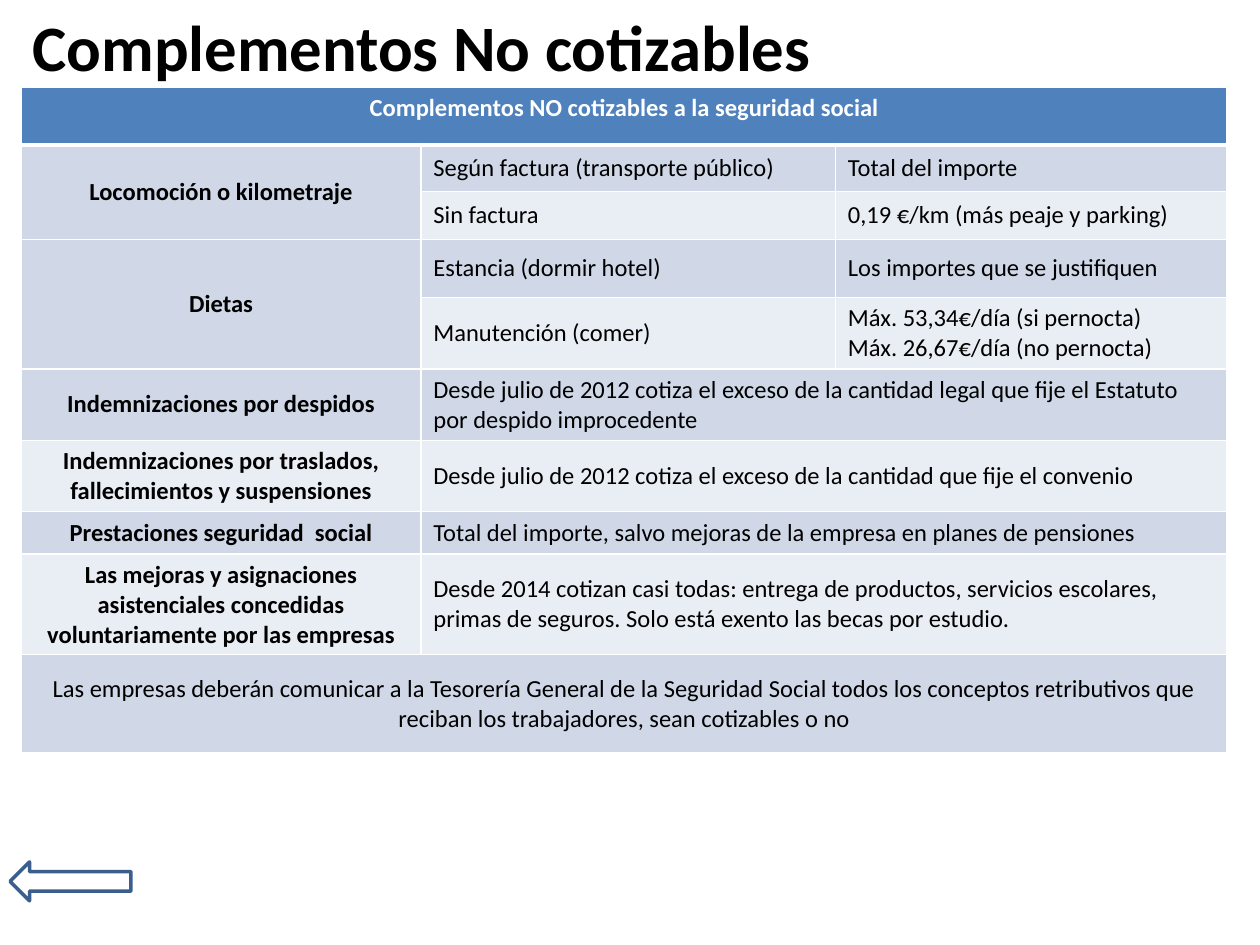
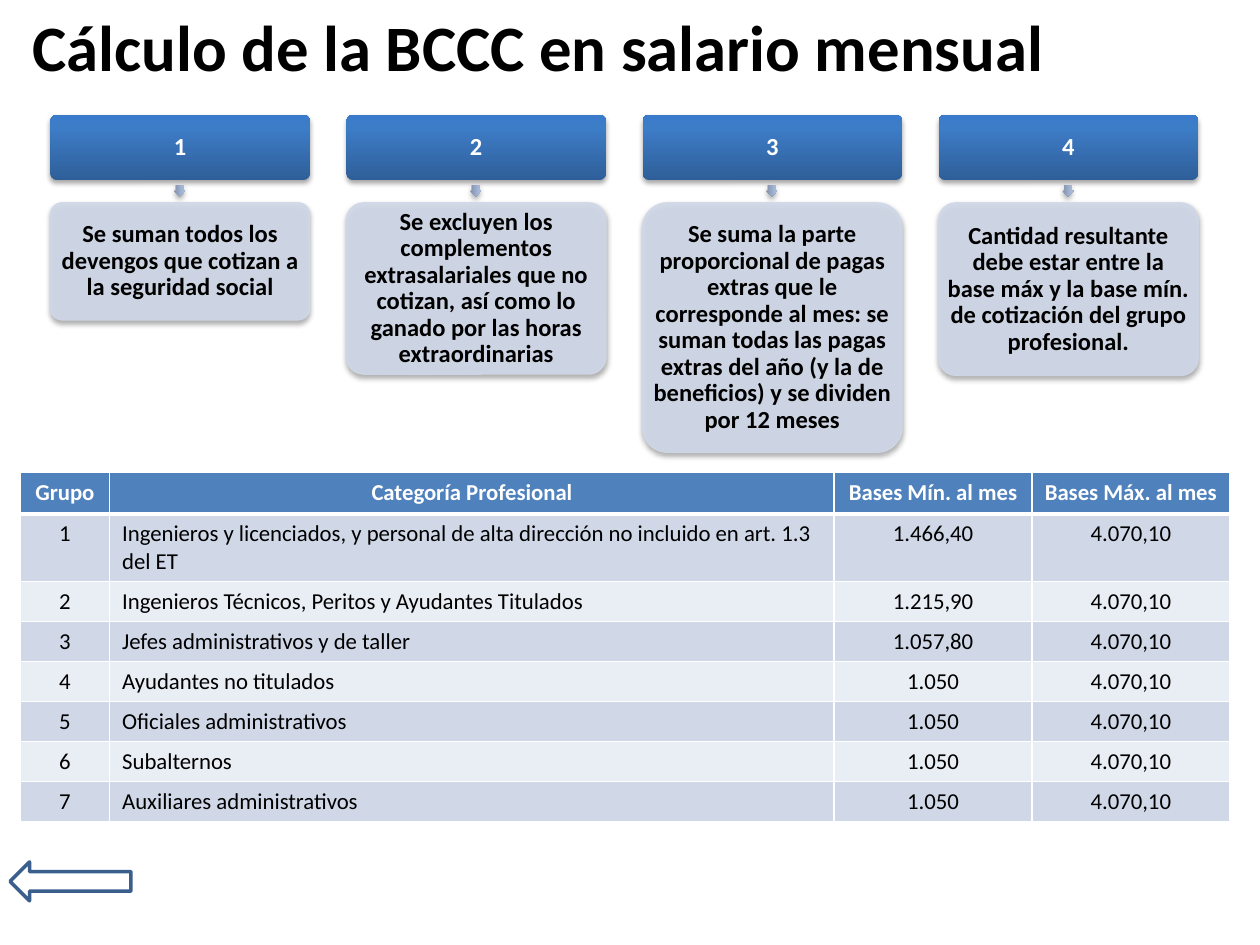
from dataclasses import dataclass
from lxml.etree import SubElement
from pptx import Presentation
from pptx.dml.color import RGBColor
from pptx.enum.shapes import MSO_SHAPE
from pptx.enum.text import MSO_ANCHOR, PP_ALIGN
from pptx.oxml.ns import qn
from pptx.util import Inches, Pt


@dataclass(frozen=True)
class Theme:
    font: str = "Calibri"
    black: str = "000000"
    white: str = "FFFFFF"
    head: str = "4F81BD"
    edge: str = "3A5F8C"
    bands: tuple = ("E9EDF4", "D0D8E8")
    blues: tuple = ((0, "2F5F99"), (80, "3D7CC7"), (100, "3A7CCB"))
    grays: tuple = ((0, "818FA8"), (80, "A7B9DA"), (100, "A7BADC"))
    title: float = 37
    text: float = 14
    small: float = 13


class Deck:
    def __init__(self, theme):
        self.theme = theme
        self.show = Presentation()
        self.show.slide_width = Inches(10)
        self.show.slide_height = Inches(7.5)
        self.slide = None

    def page(self, title):
        self.slide = self.show.slides.add_slide(self.show.slide_layouts[6])
        box = self.slide.shapes.add_textbox(*map(Inches, (0.16, 0.05, 9.37, 0.63)))
        self.label(box.text_frame, title, self.theme.title, self.theme.black, True)
        box.text_frame.vertical_anchor = MSO_ANCHOR.MIDDLE
        arrow = self.shape(MSO_SHAPE.LEFT_ARROW, 0.08, 6.84, 0.96, 0.31)
        arrow.fill.background()
        arrow.line.color.rgb = RGBColor.from_string(self.theme.edge)
        arrow.line.width = Pt(2)

    def label(self, frame, text, size, color, bold=False, align=PP_ALIGN.LEFT):
        frame.text = text
        frame.word_wrap = True
        for para in frame.paragraphs:
            para.alignment = align
            for run in para.runs:
                run.font.name = self.theme.font
                run.font.size = Pt(size)
                run.font.bold = bold
                run.font.color.rgb = RGBColor.from_string(color)

    def shape(self, kind, *place):
        shape = self.slide.shapes.add_shape(kind, *map(Inches, place))
        shape.shadow.inherit = False
        shape.line.fill.background()
        return shape

    def blend(self, shape, stops):
        shape.fill.gradient()
        shape.fill.gradient_angle = 90
        grad = shape._element.spPr.find(qn("a:gradFill")).find(qn("a:gsLst"))
        for stop in list(grad):
            grad.remove(stop)
        for place, color in stops:
            stop = SubElement(grad, qn("a:gs"), pos=str(place * 1000))
            SubElement(stop, qn("a:srgbClr"), val=color)

    def shade(self, shape):
        effects = shape._element.spPr.find(qn("a:effectLst"))
        drop = SubElement(effects, qn("a:outerShdw"), blurRad=str(Pt(3.1)),
                          dist=str(Pt(1.8)), dir="5400000", rotWithShape="0")
        color = SubElement(drop, qn("a:srgbClr"), val=self.theme.black)
        SubElement(color, qn("a:alpha"), val="35000")

    def card(self, text, color, *place):
        card = self.shape(MSO_SHAPE.ROUNDED_RECTANGLE, *place)
        card.adjustments[0] = 0.1
        frame = card.text_frame
        self.label(frame, text, self.theme.text, color, True, PP_ALIGN.CENTER)
        frame.vertical_anchor = MSO_ANCHOR.MIDDLE
        frame.margin_left = frame.margin_right = Inches(0.02)
        frame.margin_top = frame.margin_bottom = Inches(0.02)
        frame.paragraphs[0].line_spacing = 0.9
        return card

    def step(self, left, number, text, height):
        theme = self.theme
        top = self.card(number, theme.white, left, 0.91, 2.06, 0.52)
        self.blend(top, theme.blues)
        arrow = self.shape(MSO_SHAPE.RIGHT_ARROW, left + 0.98, 1.47, 0.09, 0.09)
        arrow.rotation = 90
        arrow.adjustments[0] = 0.67
        self.blend(arrow, theme.grays)
        body = self.card(text, theme.black, left, 1.61, 2.06, height)
        tint = RGBColor.from_string(theme.bands[1])
        body.fill.solid()
        body.fill.fore_color.rgb = tint
        body.line.color.rgb = tint
        body.line.width = Pt(0.75)
        for color in body._element.spPr.iter(qn("a:srgbClr")):
            SubElement(color, qn("a:alpha"), val="90000")
        for shape in (top, arrow, body):
            self.shade(shape)

    def border(self, cell, row):
        props = cell._tc.get_or_add_tcPr()
        thick = {0: "B", 1: "T"}.get(row)
        for side in "LRTB":
            width = Pt(3 if side == thick else 1)
            line = SubElement(props, qn("a:ln" + side), w=str(width))
            fill = SubElement(line, qn("a:solidFill"))
            SubElement(fill, qn("a:srgbClr"), val=self.theme.white)

    def table(self, left, top, cols, highs, rows, size, anchor, look, spans=()):
        theme = self.theme
        place = map(Inches, (left, top, sum(cols), sum(highs)))
        table = self.slide.shapes.add_table(len(rows), len(cols), *place).table
        for col, width in zip(table.columns, cols):
            col.width = Inches(width)
        for line, high in zip(table.rows, highs):
            line.height = Inches(high)
        for row, col, down, right in spans:
            table.cell(row, col).merge(table.cell(row + down, col + right))
        for row, texts in enumerate(rows):
            for col, text in enumerate(texts):
                cell = table.cell(row, col)
                self.border(cell, row)
                cell.fill.solid()
                fill = theme.bands[row % 2] if row else theme.head
                cell.fill.fore_color.rgb = RGBColor.from_string(fill)
                if cell.is_spanned:
                    continue
                bold, center = look(row, col) if row else (True, True)
                self.label(cell.text_frame, text, size,
                           theme.black if row else theme.white, bold,
                           PP_ALIGN.CENTER if center else PP_ALIGN.LEFT)
                cell.vertical_anchor = anchor if row else MSO_ANCHOR.TOP


EXTRAS = [
    ("Complementos NO cotizables a la seguridad social", "", ""),
    ("Locomoción o kilometraje", "Según factura (transporte público)", "Total del importe"),
    ("", "Sin factura", "0,19 €/km (más peaje y parking)"),
    ("Dietas", "Estancia (dormir hotel)", "Los importes que se justifiquen"),
    ("", "Manutención (comer)",
     "Máx. 53,34€/día (si pernocta)\nMáx. 26,67€/día (no pernocta)"),
    ("Indemnizaciones por despidos",
     "Desde julio de 2012 cotiza el exceso de la cantidad legal que fije el Estatuto "
     "por despido improcedente", ""),
    ("Indemnizaciones por traslados, fallecimientos y suspensiones",
     "Desde julio de 2012 cotiza el exceso de la cantidad que fije el convenio", ""),
    ("Prestaciones seguridad  social",
     "Total del importe, salvo mejoras de la empresa en planes de pensiones", ""),
    ("Las mejoras y asignaciones asistenciales concedidas voluntariamente por las empresas",
     "Desde 2014 cotizan casi todas: entrega de productos, servicios escolares, "
     "primas de seguros. Solo está exento las becas por estudio.", ""),
    ("Las empresas deberán comunicar a la Tesorería General de la Seguridad Social todos "
     "los conceptos retributivos que reciban los trabajadores, sean cotizables o no", "", ""),
]

STEPS = [
    ("Se suman todos los devengos que cotizan a la seguridad social", 0.93),
    ("Se excluyen los complementos extrasalariales que no cotizan, así como lo ganado "
     "por las horas extraordinarias", 1.36),
    ("Se suma la parte proporcional de pagas extras que le corresponde al mes: se suman "
     "todas las pagas extras del año (y la de beneficios) y se dividen por 12 meses", 1.98),
    ("Cantidad resultante debe estar entre la base máx y la base mín. de cotización "
     "del grupo profesional.", 1.37),
]

GROUPS = [
    ("Ingenieros y licenciados, y personal de alta dirección no incluido en art. 1.3 del ET",
     "1.466,40"),
    ("Ingenieros Técnicos, Peritos y Ayudantes Titulados", "1.215,90"),
    ("Jefes administrativos y de taller", "1.057,80"),
    ("Ayudantes no titulados", "1.050"),
    ("Oficiales administrativos", "1.050"),
    ("Subalternos", "1.050"),
    ("Auxiliares administrativos", "1.050"),
]


def main():
    theme = Theme()
    deck = Deck(theme)

    deck.page("Complementos No cotizables")
    last = len(EXTRAS) - 1
    spans = [(0, 0, 0, 2), (1, 0, 1, 0), (3, 0, 1, 0), (last, 0, 0, 2)]
    spans += [(row, 1, 0, 1) for row in range(5, last)]
    highs = [0.46, 0.37, 0.38, 0.46, 0.55, 0.55, 0.55, 0.33, 0.78, 0.78]
    deck.table(0.17, 0.69, [3.17, 3.29, 3.11], highs, EXTRAS, theme.text,
               MSO_ANCHOR.MIDDLE,
               lambda row, col: (col == 0 and row < last, col == 0), spans)

    deck.page("Cálculo de la BCCC en salario mensual")
    for spot, (text, height) in enumerate(STEPS):
        deck.step(0.4 + 2.35 * spot, str(spot + 1), text, height)
    rows = [("Grupo", "Categoría Profesional", "Bases Mín. al mes", "Bases Máx. al mes")]
    rows += [(str(rank), job, base, "4.070,10")
             for rank, (job, base) in enumerate(GROUPS, 1)]
    deck.table(0.16, 3.75, [0.71, 5.75, 1.57, 1.57], [0.33, 0.3] + [0.31] * 6, rows,
               theme.small, MSO_ANCHOR.TOP, lambda row, col: (False, col != 1))

    deck.show.save("out.pptx")


if __name__ == "__main__":
    main()
